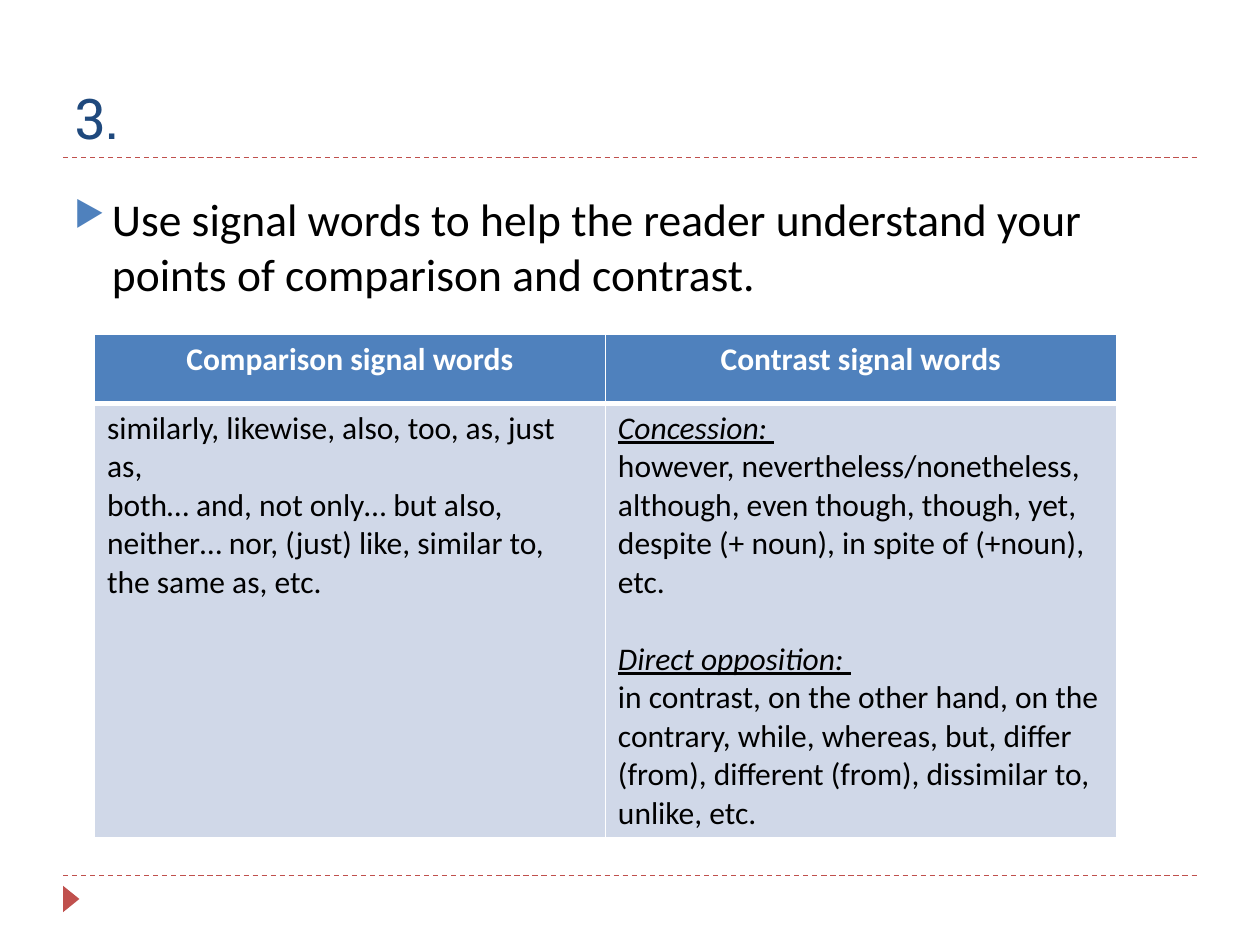
from lxml.etree import SubElement
from pptx import Presentation
from pptx.dml.color import RGBColor
from pptx.enum.dml import MSO_LINE
from pptx.enum.shapes import MSO_CONNECTOR, MSO_SHAPE
from pptx.enum.text import MSO_ANCHOR, PP_ALIGN
from pptx.oxml.ns import qn
from pptx.util import Inches, Pt

WHITE = RGBColor(0xFF, 0xFF, 0xFF)
BLACK = RGBColor(0, 0, 0)
NAVY = RGBColor(0x1F, 0x49, 0x7D)
BLUE = RGBColor(0x4F, 0x81, 0xBD)
PALE = RGBColor(0xD0, 0xD8, 0xE8)
RED = RGBColor(0xC0, 0x50, 0x4D)
SANS, SLAB = "Calibri", "Roboto Slab"
WIDE, HIGH = Inches(10), Inches(7.5)

# Each cell is a list of (text, is a label) paragraphs.
HEADS = ["Comparison signal words", "Contrast signal words"]
CELLS = [
    [("similarly, likewise, also, too, as, just as, ", False),
     ("both… and, not only… but also, neither… nor, (just) like, "
      "similar to, the same as, etc. ", False)],
    [("Concession: ", True),
     ("however, nevertheless/nonetheless, although, even though, though, "
      "yet, despite (+ noun), in spite of (+noun), etc. ", False),
     ("Direct opposition: ", True),
     ("in contrast, on the other hand, on the contrary, while, whereas, "
      "but, differ (from), different (from), dissimilar to, unlike, etc. ",
      False)],
]


def col(n):
    """Width of n columns, 40 to the slide."""
    return int(WIDE * n / 40)


def row(n):
    """Height of n rows, 30 to the slide."""
    return int(HIGH * n / 30)


def put(shape, box):
    """Place a shape in a box of left, top, width, height."""
    shape.left, shape.top, shape.width, shape.height = box


def write(para, text, size, color, face=SANS):
    """Add one run to a paragraph and return its font."""
    run = para.add_run()
    run.text = text
    font = run.font
    font.size, font.name = Pt(size), face
    font.color.rgb = color
    return font


def rule(slide, left, top, width):
    """Draw a dashed line across the slide."""
    line = slide.shapes.add_connector(
        MSO_CONNECTOR.STRAIGHT, left, top, left + width, top)
    line.line.color.rgb = RED
    line.line.width = Pt(0.75)
    line.line.dash_style = MSO_LINE.DASH
    SubElement(line._element.spPr, qn("a:effectLst"))


def frame(slide, left, top, width, height):
    """Draw the two rules and the foot marker of the page."""
    rule(slide, left, top, width)
    rule(slide, left, top + height, width)
    mark = slide.shapes.add_shape(
        MSO_SHAPE.ISOSCELES_TRIANGLE, left - Inches(0.04),
        top + height + Inches(0.12), Inches(0.21), Inches(0.13))
    mark.rotation = 90
    mark.shadow.inherit = False
    mark.fill.solid()
    mark.fill.fore_color.rgb = RED
    mark.line.fill.background()


def title(slide, text, box):
    """Fill the title placeholder."""
    head = slide.shapes.title
    put(head, box)
    head.text_frame.vertical_anchor = MSO_ANCHOR.BOTTOM
    para = head.text_frame.paragraphs[0]
    para.alignment = PP_ALIGN.LEFT
    write(para, text, 32, NAVY, SLAB)


def point(slide, text, box):
    """Add a paragraph with an arrow bullet."""
    body = slide.shapes.add_textbox(*box).text_frame
    body.word_wrap = True
    para = body.paragraphs[0]
    para.space_before = Pt(6)
    write(para, text, 26, BLACK)
    props = para._p.get_or_add_pPr()
    props.set("marL", str(Inches(0.3)))
    props.set("indent", str(-Inches(0.3)))
    tint = SubElement(props, qn("a:buClr"))
    SubElement(tint, qn("a:srgbClr")).set("val", str(BLUE))
    SubElement(props, qn("a:buSzPct")).set("val", "76000")
    SubElement(props, qn("a:buChar")).set("char", "▶")


def edge(cell, foot):
    """Give a cell white borders, the lower one foot points wide."""
    props = cell._tc.get_or_add_tcPr()
    for i, side in enumerate("LRTB"):
        line = props.makeelement(qn("a:ln" + side), {})
        line.set("w", str(Pt(foot if side == "B" else 1)))
        fill = SubElement(line, qn("a:solidFill"))
        SubElement(fill, qn("a:srgbClr")).set("val", str(WHITE))
        props.insert(i, line)


def paint(cell, color, foot):
    """Fill and border a cell."""
    cell.fill.solid()
    cell.fill.fore_color.rgb = color
    edge(cell, foot)


def table(slide, left, top, width, height):
    """Build the table of signal words."""
    grid = slide.shapes.add_table(
        2, len(HEADS), left, top, width, height).table
    grid.rows[0].height = Inches(0.55)
    grid.rows[1].height = height - Inches(0.55)
    for i, (head, parts) in enumerate(zip(HEADS, CELLS)):
        cell = grid.cell(0, i)
        paint(cell, BLUE, 3)
        para = cell.text_frame.paragraphs[0]
        para.alignment = PP_ALIGN.CENTER
        write(para, head, 18, WHITE).bold = True
        cell = grid.cell(1, i)
        paint(cell, PALE, 1)
        body = cell.text_frame
        for j, (text, label) in enumerate(parts):
            para = body.add_paragraph() if j else body.paragraphs[0]
            if label and j:
                para.space_before = Pt(22)
            font = write(para, text, 18, BLACK)
            font.bold, font.italic, font.underline = False, label, label


def main():
    """Build and save the slide."""
    deck = Presentation()
    deck.slide_width, deck.slide_height = WIDE, HIGH
    slide = deck.slides.add_slide(deck.slide_layouts[5])
    frame(slide, col(2), row(5), col(36), row(22.8))
    title(slide, "3.", (col(2), row(0.68), col(36), row(4.32)))
    point(slide, "Use signal words to help the reader understand your "
          "points of comparison and contrast.",
          (col(1.96), row(5.88), col(36), row(4.4)))
    table(slide, col(3), row(10.6), col(32.44), row(16))
    deck.save("out.pptx")


main()
